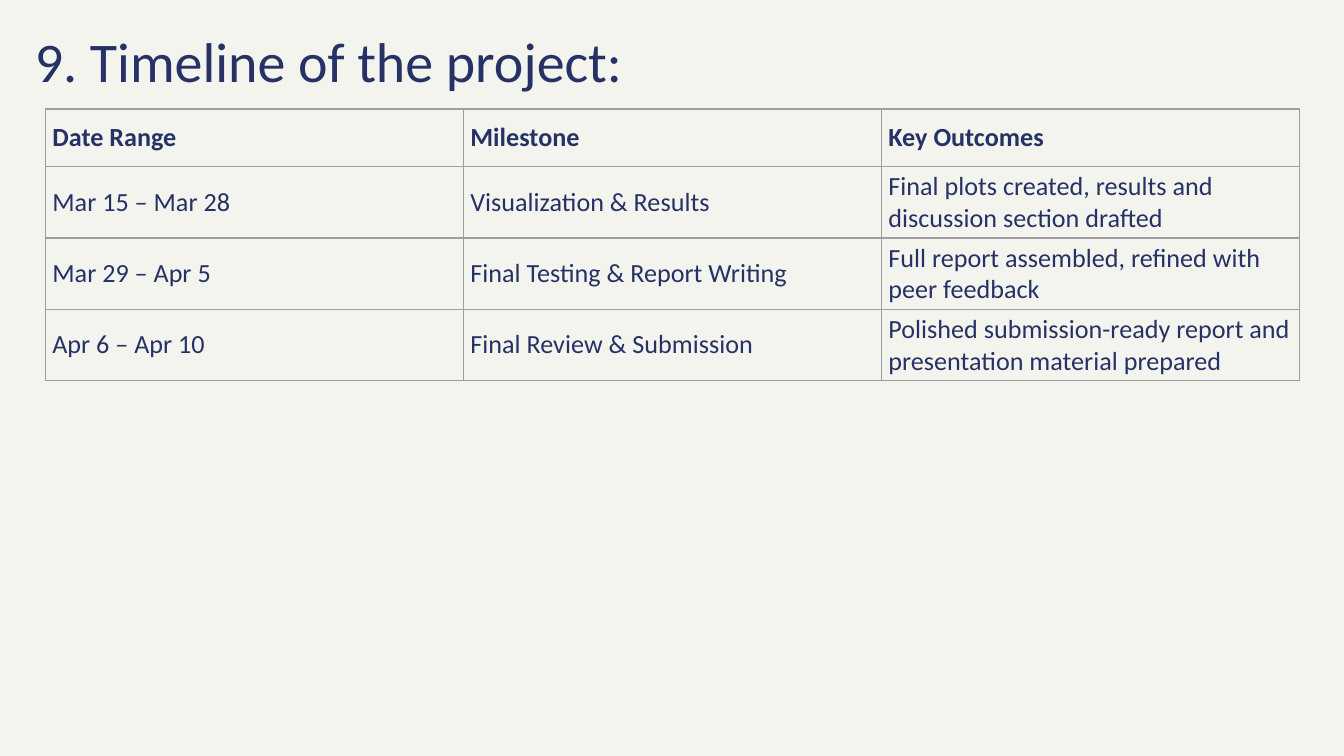
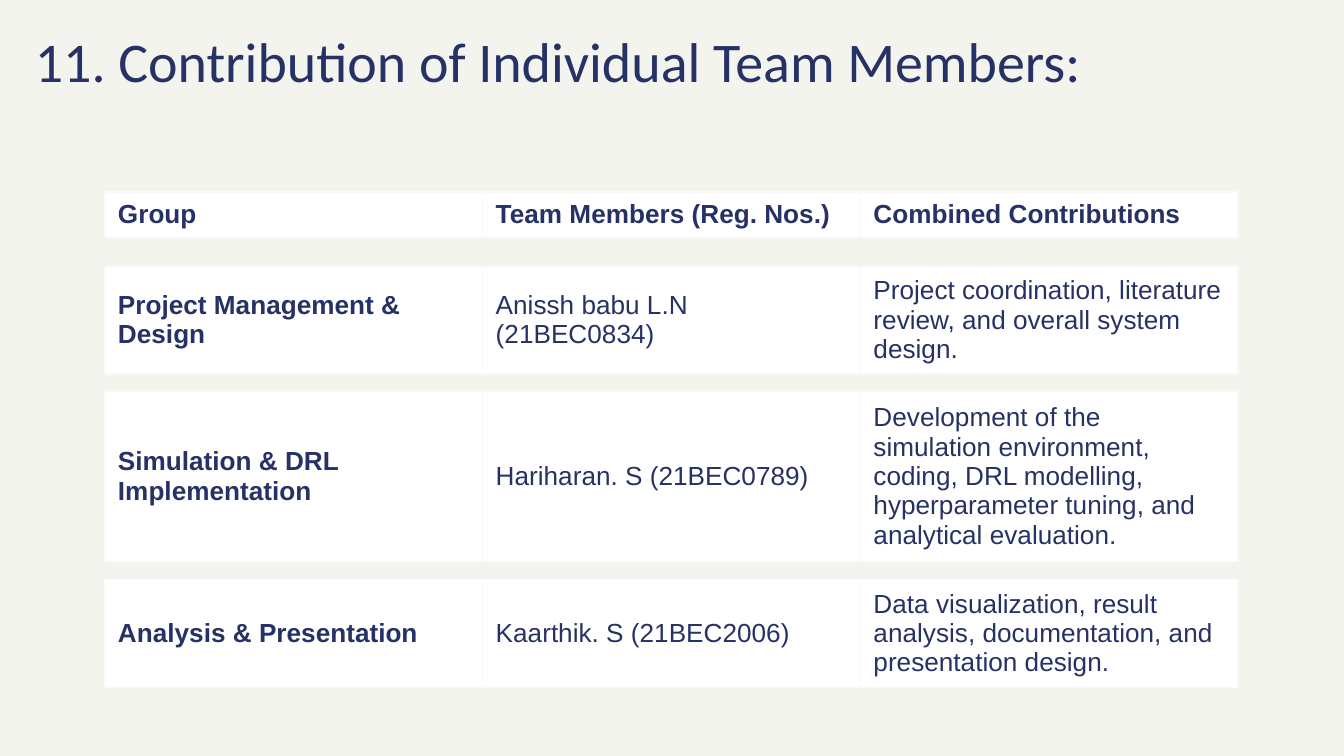
from dataclasses import dataclass

from lxml import etree
from pptx import Presentation
from pptx import util as u
from pptx.dml.color import RGBColor
from pptx.enum import text
from pptx.oxml.ns import qn

# Shared look
BACKGROUND = "F3F4EE"
NAVY = "263165"
WHITE = "FFFFFF"
TITLE_FONT = "Calibri"
COLUMN_COUNT = 3


@dataclass(frozen=True)
class TableStyle:
    """Lengths in centimetres; a fill of None leaves cells clear."""
    left: float
    column_width: float
    font_name: str
    border: str
    fill: str | None
    margin_x: float
    margin_y: float


@dataclass(frozen=True)
class Row:
    height: float
    cells: tuple[str, str, str]
    bold_cells: int = 0  # number of bold cells, counted from the left


@dataclass(frozen=True)
class TableBlock:
    top: float
    rows: tuple[Row, ...]


@dataclass(frozen=True)
class TableSlide:
    title: str
    style: TableStyle
    tables: tuple[TableBlock, ...]


TIMELINE_STYLE = TableStyle(0.86, 7.9, "Calibri", "9E9E9E", None, 0.13, 0.08)
TEAM_STYLE = TableStyle(1.98, 7.14, "Arial", "F9F9F9", WHITE, 0.25, 0.13)

TIMELINE = TableSlide("9. Timeline of the project:", TIMELINE_STYLE, (
    TableBlock(2.06, (
        Row(1.09, ("Date Range", "Milestone", "Key Outcomes"), 3),
        Row(1.34, ("Mar 15 – Mar 28", "Visualization & Results",
                   "Final plots created, results and discussion section drafted")),
        Row(1.34, ("Mar 29 – Apr 5", "Final Testing & Report Writing",
                   "Full report assembled, refined with peer feedback")),
        Row(1.34, ("Apr 6 – Apr 10", "Final Review & Submission",
                   "Polished submission-ready report and presentation material prepared")),
    )),
))

CONTRIBUTIONS = TableSlide("11. Contribution of Individual Team Members:", TEAM_STYLE, (
    TableBlock(3.63, (
        Row(0.82, ("Group", "Team Members (Reg. Nos.)", "Combined Contributions"), 3),
    )),
    TableBlock(5.03, (
        Row(1.9, ("Project Management & Design", "Anissh babu L.N (21BEC0834)",
                  "Project coordination, literature review, and overall system design."), 1),
    )),
    TableBlock(7.39, (
        Row(3.03, ("Simulation & DRL Implementation", "Hariharan. S (21BEC0789)",
                   "Development of the simulation environment, coding, DRL modelling, "
                   "hyperparameter tuning, and analytical evaluation."), 1),
    )),
    TableBlock(10.95, (
        Row(1.9, ("Analysis & Presentation", "Kaarthik. S (21BEC2006)",
                  "Data visualization, result analysis, documentation, "
                  "and presentation design."), 1),
    )),
))


def color(value: str) -> RGBColor:
    return RGBColor.from_string(value)


def set_font(paragraph, name: str, size: float, bold: bool = False) -> None:
    font = paragraph.font
    font.name = name
    font.size = u.Pt(size)
    font.bold = bold
    font.color.rgb = color(NAVY)


def add_title(slide, title: str) -> None:
    shape = slide.shapes.add_textbox(u.Cm(0.41), u.Cm(0.25), u.Cm(24.99), u.Cm(1.8))
    frame = shape.text_frame
    frame.word_wrap = True
    frame.margin_left = frame.margin_right = u.Cm(0.25)
    frame.margin_top = frame.margin_bottom = u.Cm(0.25)
    frame.text = title
    set_font(frame.paragraphs[0], TITLE_FONT, 30)


def set_borders(cell, value: str) -> None:
    properties = cell._tc.get_or_add_tcPr()
    # Border lines come before the fill in the cell properties
    for position, tag in enumerate(("a:lnL", "a:lnR", "a:lnT", "a:lnB")):
        line = etree.Element(qn(tag), w=str(u.Pt(0.75)))
        fill = etree.SubElement(line, qn("a:solidFill"))
        etree.SubElement(fill, qn("a:srgbClr"), val=value)
        properties.insert(position, line)


def fill_cell(cell, content: str, bold: bool, style: TableStyle) -> None:
    cell.text = content
    cell.vertical_anchor = text.MSO_ANCHOR.MIDDLE
    cell.margin_left = cell.margin_right = u.Cm(style.margin_x)
    cell.margin_top = cell.margin_bottom = u.Cm(style.margin_y)
    set_font(cell.text_frame.paragraphs[0], style.font_name, 14, bold)
    if style.fill is None:
        cell.fill.background()
    else:
        cell.fill.solid()
        cell.fill.fore_color.rgb = color(style.fill)
    set_borders(cell, style.border)


def add_table(slide, block: TableBlock, style: TableStyle) -> None:
    table = slide.shapes.add_table(
        len(block.rows), COLUMN_COUNT, u.Cm(style.left), u.Cm(block.top),
        u.Cm(style.column_width * COLUMN_COUNT),
        u.Cm(sum(row.height for row in block.rows))).table
    table.first_row = table.horz_banding = False
    for row_index, row in enumerate(block.rows):
        table.rows[row_index].height = u.Cm(row.height)
        for column_index, content in enumerate(row.cells):
            fill_cell(table.cell(row_index, column_index), content,
                      column_index < row.bold_cells, style)


def add_table_slide(presentation, page: TableSlide) -> None:
    slide = presentation.slides.add_slide(presentation.slide_layouts[6])
    slide.background.fill.solid()
    slide.background.fill.fore_color.rgb = color(BACKGROUND)
    add_title(slide, page.title)
    for block in page.tables:
        add_table(slide, block, page.style)


def main() -> None:
    presentation = Presentation()
    presentation.slide_width = u.Cm(25.4)
    presentation.slide_height = u.Cm(14.29)
    for page in (TIMELINE, CONTRIBUTIONS):
        add_table_slide(presentation, page)
    presentation.save("out.pptx")


if __name__ == "__main__":
    main()
